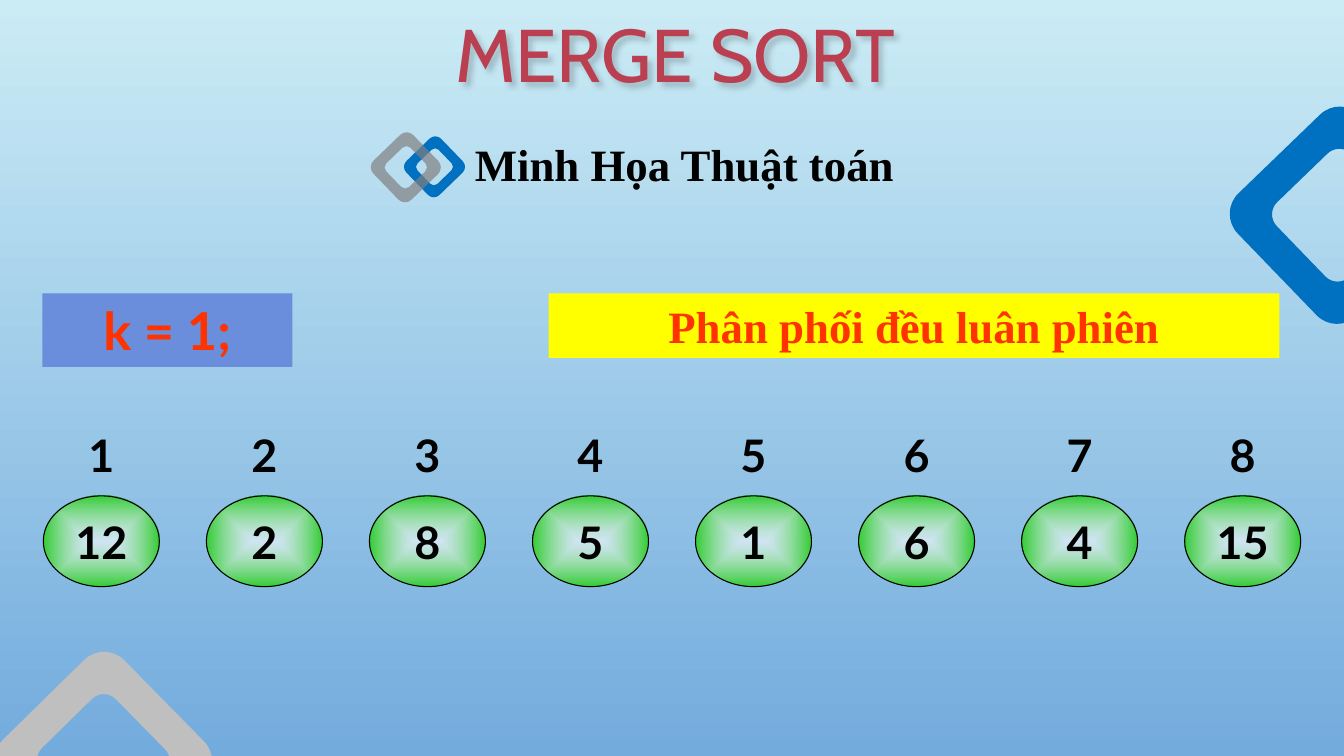
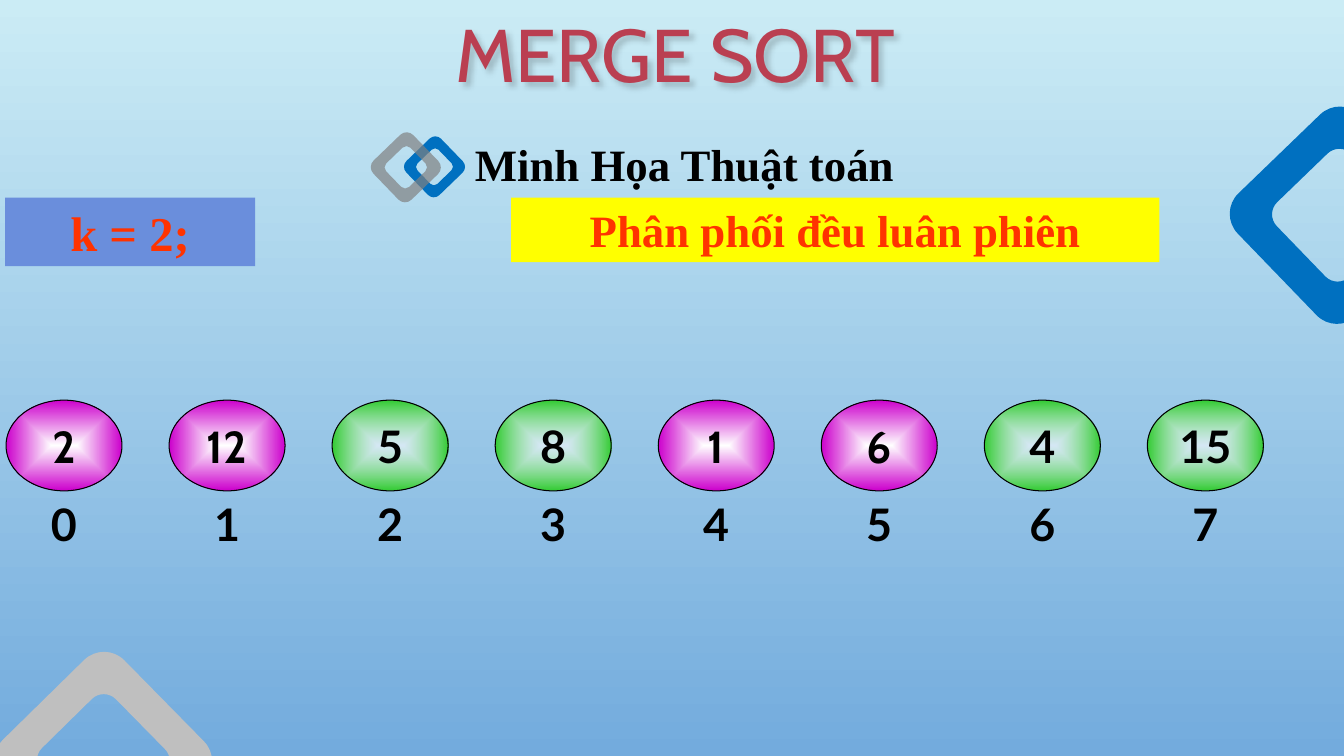
from lxml.etree import SubElement
from pptx import Presentation
from pptx.dml.color import RGBColor
from pptx.enum.shapes import MSO_SHAPE
from pptx.enum.text import MSO_ANCHOR, MSO_AUTO_SIZE, PP_ALIGN
from pptx.oxml import parse_xml
from pptx.oxml.ns import nsdecls, qn
from pptx.util import Inches, Pt

COLORS = {
    "sky": "CBECF5", "dusk": "73ABDD", "gray": "BFBFBF", "blue": "0070C0",
    "smoke": "808080", "black": "000000", "white": "FFFFFF", "green": "33CC33",
    "magenta": "CC00CC", "step": "6A8EDC", "yellow": "FFFF00", "red": "FF3300",
    "wine": "5D2028", "rose": "BA3F51", "pink": "D78A95",
}

TITLE = "MERGE SORT"
SUBTITLE = "Minh Họa Thuật toán"
ACTION = "Phân phối đều luân phiên"

RINGS = [
    (0.18, 6.7, 1.69, 1.69, 315.5, "gray", 100),
    (12.43, 1.29, 1.69, 1.69, 316, "blue", 100),
    (4.07, 1.42, 0.48, 0.47, 316, "blue", 100),
    (3.75, 1.39, 0.55, 0.54, 316, "smoke", 69),
]

SLIDES = [
    {
        "step": ("k = 1;", (0.42, 2.91, 2.48, 0.73), "Lato", 37.3),
        "action": (5.44, 2.91, 7.25, 0.64),
        "left": 0.43, "ball_top": 4.92, "index_top": 4.06, "first": 1,
        "values": [12, 2, 8, 5, 1, 6, 4, 15], "marked": [],
    },
    {
        "step": ("k = 2;", (0.05, 1.96, 2.48, 0.68), "Times New Roman", 34.7),
        "action": (5.07, 1.96, 6.43, 0.64),
        "left": 0.06, "ball_top": 3.97, "index_top": 4.74, "first": 0,
        "values": [2, 12, 5, 8, 1, 6, 4, 15], "marked": [0, 1, 4, 5],
    },
]

BALL_W, BALL_H = 1.15, 0.9
PITCH = 11.32 / 7
CURVE = 0.55
GREEN_BALL = [(0, "white", 60), (100, "green", 100)]
MAGENTA_BALL = [(0, "white", 100), (100, "magenta", 100)]
TITLE_INK = [(0, "wine", 100), (50, "rose", 100), (100, "pink", 100)]
CENTER_PATH = '<a:path path="shape"><a:fillToRect l="50000" t="50000" r="50000" b="50000"/></a:path>'
DOWNWARD = '<a:lin ang="5400000" scaled="0"/>'


def rgb(name):
    return RGBColor.from_string(COLORS[name])


def box(*lengths):
    return [Inches(v) for v in lengths]


def solid(shape, color):
    shape.shadow.inherit = False
    shape.fill.solid()
    shape.fill.fore_color.rgb = rgb(color)
    shape.line.fill.background()


def paint_gradient(fill, parent, stops, direction):
    fill.solid()
    gs = "".join(
        f'<a:gs pos="{pos * 1000}"><a:srgbClr val="{COLORS[c]}">'
        f'<a:alpha val="{alpha * 1000}"/></a:srgbClr></a:gs>'
        for pos, c, alpha in stops)
    xml = f'<a:gradFill {nsdecls("a")} rotWithShape="1"><a:gsLst>{gs}</a:gsLst>{direction}</a:gradFill>'
    parent.replace(parent.find(qn("a:solidFill")), parse_xml(xml))


def write(shape, text, color="black", align=PP_ALIGN.CENTER, **font):
    tf = shape.text_frame
    tf.word_wrap = True
    tf.auto_size = MSO_AUTO_SIZE.NONE
    tf.vertical_anchor = MSO_ANCHOR.MIDDLE
    p = tf.paragraphs[0]
    p.alignment = align
    r = p.add_run()
    r.text = text
    style = {"name": "Lato", "size": 32, "bold": True, **font}
    style["size"] = Pt(style["size"])
    for key, value in style.items():
        setattr(r.font, key, value)
    r.font.color.rgb = rgb(color)
    return r


def cut_corners(left, top, w, h, cut):
    right, bottom = left + w, top + h
    points = [(right, bottom - cut), (right - cut, bottom), (left + cut, bottom), (left, bottom - cut),
              (left, top + cut), (left + cut, top), (right - cut, top), (right, top + cut)]
    return [box(*point) for point in points]


def round_corners(sp):
    lines = list(sp._element.iter(qn("a:lnTo")))
    for contour in (lines[:7], lines[7:]):
        for i, line in enumerate(contour[::2]):
            ax, ay = (int(line.getprevious()[-1].get(k)) for k in "xy")
            bx, by = (int(line[0].get(k)) for k in "xy")
            cx, cy = (bx, ay) if i % 2 else (ax, by)
            curve = parse_xml(f'<a:cubicBezTo {nsdecls("a")}/>')
            for x, y in ((ax + CURVE * (cx - ax), ay + CURVE * (cy - ay)),
                         (bx + CURVE * (cx - bx), by + CURVE * (cy - by)), (bx, by)):
                SubElement(curve, qn("a:pt"), x=str(round(x)), y=str(round(y)))
            line.getparent().replace(line, curve)


def add_ring(s, left, top, w, h, angle, color, alpha):
    band = 0.195 * w
    outer = cut_corners(left, top, w, h, w / 6)
    inner = cut_corners(left + band, top + band, w - 2 * band, h - 2 * band, 0.1 * w)
    builder = s.shapes.build_freeform(*outer[0])
    builder.add_line_segments(outer[1:])
    builder.move_to(*inner[0])
    builder.add_line_segments(inner[1:])
    sp = builder.convert_to_shape()
    round_corners(sp)
    sp.rotation = angle
    solid(sp, color)
    if alpha < 100:
        ink = sp._element.spPr.find(qn("a:solidFill")).find(qn("a:srgbClr"))
        SubElement(ink, qn("a:alpha"), val=str(alpha * 1000))


def add_banner(s, text, place, fill, **font):
    sp = s.shapes.add_shape(MSO_SHAPE.RECTANGLE, *box(*place))
    solid(sp, fill)
    write(sp, text, "red", **font)


def add_oval(s, left, top, text, font="Lato"):
    sp = s.shapes.add_shape(MSO_SHAPE.OVAL, *box(left, top, BALL_W, BALL_H))
    sp.shadow.inherit = False
    sp.fill.background()
    sp.line.fill.background()
    write(sp, text, name=font)
    return sp


def add_ball(s, left, top, text, marked):
    sp = add_oval(s, left, top, text, "Cabin" if marked else "Lato")
    paint_gradient(sp.fill, sp._element.spPr, MAGENTA_BALL if marked else GREEN_BALL, CENTER_PATH)
    sp.line.color.rgb = rgb("black")
    sp.line.width = Pt(0.75)


def add_frame(s):
    for ring in RINGS:
        add_ring(s, *ring)
    subtitle = s.shapes.add_textbox(*box(4.71, 1.35, 4.45, 0.55))
    subtitle.text_frame.margin_left = subtitle.text_frame.margin_right = 0
    write(subtitle, SUBTITLE, align=PP_ALIGN.LEFT, name="Times New Roman")
    title = s.shapes.title
    r = write(title, TITLE, "rose", name="Cabin", size=53.3, bold=False)
    paint_gradient(r.font.fill, r._r.get_or_add_rPr(), TITLE_INK, DOWNWARD)
    title._element.spPr.append(parse_xml(
        f'<a:effectLst {nsdecls("a")}><a:outerShdw blurRad="50800" dist="38100" dir="2700000">'
        '<a:srgbClr val="000000"><a:alpha val="18000"/></a:srgbClr></a:outerShdw></a:effectLst>'))


def add_array(s, data):
    lefts = [data["left"] + i * PITCH for i in range(len(data["values"]))]
    for i, value in enumerate(data["values"]):
        add_ball(s, lefts[i], data["ball_top"], str(value), i in data["marked"])
    for i, left in enumerate(lefts):
        add_oval(s, left, data["index_top"], str(data["first"] + i))


def main():
    prs = Presentation()
    prs.slide_width, prs.slide_height = box(13.33, 7.5)
    fill = prs.slide_master.background.fill
    fill.gradient()
    fill.gradient_angle = 270
    for stop, color in zip(fill.gradient_stops, ("sky", "dusk")):
        stop.color.rgb = rgb(color)
    layout = prs.slide_layouts[5]
    title = layout.placeholders[0]
    title.left, title.top, title.width, title.height = box(0, 0, 13.39, 1.05)

    for data in SLIDES:
        s = prs.slides.add_slide(layout)
        add_frame(s)
        add_array(s, data)
        text, place, name, size = data["step"]
        add_banner(s, text, place, "step", name=name, size=size)
        add_banner(s, ACTION, data["action"], "yellow", name="Times New Roman")
    prs.save("out.pptx")


if __name__ == "__main__":
    main()
